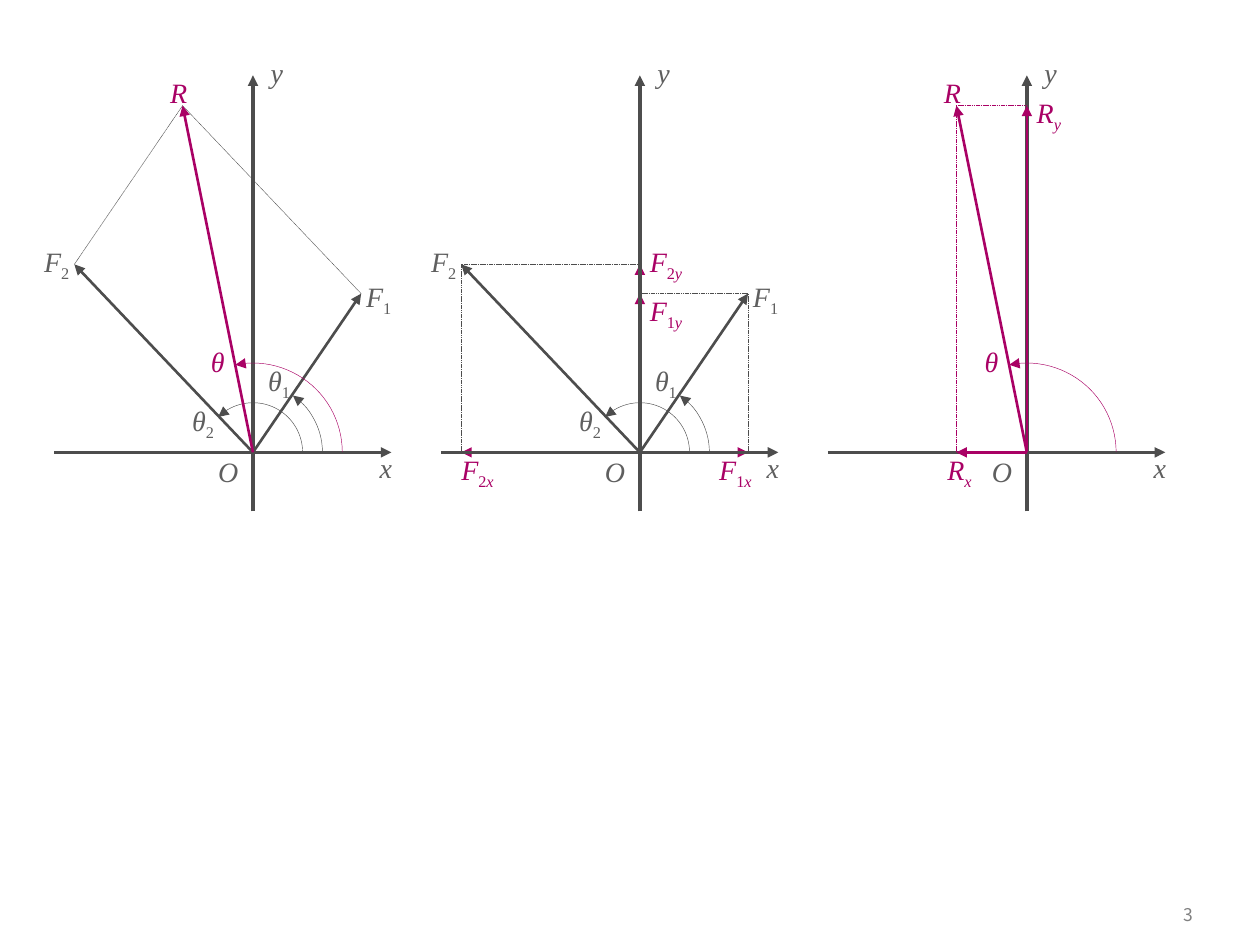
from dataclasses import dataclass

from lxml.etree import SubElement
from pptx import Presentation
from pptx.dml.color import RGBColor
from pptx.enum.dml import MSO_LINE_DASH_STYLE as Dash
from pptx.enum.shapes import MSO_CONNECTOR as Connector, MSO_SHAPE as Preset
from pptx.enum.text import MSO_ANCHOR as Anchor, MSO_AUTO_SIZE as AutoSize, PP_ALIGN as Align
from pptx.oxml.ns import qn
from pptx.util import Cm, Pt

GREY = RGBColor(0x4D, 0x4D, 0x4D)
TEXT_GREY = RGBColor(0x5F, 0x5F, 0x5F)
PAGE_GREY = RGBColor(0x80, 0x80, 0x80)
PURPLE = RGBColor(0xA9, 0x01, 0x65)

AXIS, THIN, BOLD = 0, 0.25, 1.5
ORIGIN_X, ORIGIN_Y, PANEL_STEP = 5.1, 9.12, 7.8

# Vector tips in cm from the origin, with y pointing up
O = (0, 0)
F1 = (2.18, 3.2)
F2 = (-3.6, 3.79)
R = (F1[0] + F2[0], F1[1] + F2[1])


@dataclass(frozen=True)
class Line:
    """A straight line between two points."""
    start: tuple
    end: tuple
    color: RGBColor = GREY
    width: float = BOLD
    dashed: bool = False


@dataclass(frozen=True)
class Angle:
    """An arc with an arrowhead, turning up from the x axis."""
    radius: float
    degrees: float
    color: RGBColor = GREY


@dataclass(frozen=True)
class Label:
    """A symbol with an optional subscript; left and top from the origin."""
    symbol: str
    subscript: str
    left: float
    top: float
    width: float
    color: RGBColor = TEXT_GREY
    align: Align = Align.CENTER
    height: float = 0.69
    padded: bool = False


def guide(start: tuple, end: tuple, color: RGBColor = GREY) -> Line:
    """Return a thin dashed projection line."""
    return Line(start, end, color, THIN, True)


def component(symbol: str, subscript: str, left: float, top: float, width: float = 0.79) -> Label:
    """Return the purple label of a vector component."""
    return Label(symbol, subscript, left, top, width, PURPLE, Align.LEFT)


def force(number: str, left: float, top: float) -> Label:
    """Return the grey label of a force."""
    return Label("F", number, left, top, 0.61, align=Align.LEFT)


AXES = [
    Line((0, -1.19), (0, 7.6), width=AXIS),
    Label("O", "", -1, 0.08, 1, height=0.94, padded=True),
    Line((-4.01, 0), (2.79, 0), width=AXIS),
    Label("x", "", 2.18, 0.03, 1),
    Label("y", "", -0.02, 8, 1),
]
FORCES = [
    force("1", 2.28, 3.48), Line(O, F1), Angle(1.4, 54.9),
    Line(O, F2), force("2", -4.21, 4.19),
    Label("θ", "1", 0.13, 1.8, 0.79), Angle(1, 134.5),
    Label("θ", "2", -1.4, 0.99, 0.79),
]
RESULTANT = [
    Label("θ", "", -1, 2.18, 0.58, PURPLE),
    Label("R", "", -2, 7.6, 1, PURPLE),
    Line(O, R, PURPLE), Angle(1.8, 101.4, PURPLE),
]
FORCE_COMPONENTS = [
    Line(O, (F1[0], 0), PURPLE), Line(O, (0, F1[1]), PURPLE),
    component("F", "1y", 0.2, 3.2), component("F", "1x", 1.6, 0),
    component("F", "2x", -3.6, 0),
    Line(O, (F2[0], 0), PURPLE), Line(O, (0, F2[1]), PURPLE),
    component("F", "2y", 0.2, 4.19),
]
FORCE_GUIDES = [guide(foot, tip) for tip in (F1, F2) for foot in ((tip[0], 0), (0, tip[1]))]
RESULTANT_COMPONENTS = [
    component("R", "y", 0.2, 7.19, 0.61), Line(O, (0, R[1]), PURPLE),
    Line(O, (R[0], 0), PURPLE), component("R", "x", -1.6, 0, 0.61),
    guide((R[0], 0), R, PURPLE), guide((0, R[1]), R, PURPLE),
]
PANELS = [
    AXES + FORCES + [guide(F2, R), guide(F1, R)] + RESULTANT,
    FORCE_COMPONENTS + AXES + FORCES + FORCE_GUIDES,
    AXES + RESULTANT_COMPONENTS + RESULTANT,
]


def add_arrowhead(shape) -> None:
    """Put a triangle at the end of a line."""
    SubElement(shape.line._get_or_add_ln(), qn("a:tailEnd"), type="triangle")


def draw_line(shapes, line: Line, origin_x: float) -> None:
    """Draw a vector, an axis or a dashed guide."""
    ends = [Cm(value) for x, y in (line.start, line.end)
            for value in (origin_x + x, ORIGIN_Y - y)]
    connector = shapes.add_connector(Connector.STRAIGHT, *ends)
    connector.line.color.rgb = line.color
    connector.line.width = Pt(line.width)
    if line.dashed:
        connector.line.dash_style = Dash.SQUARE_DOT
    else:
        add_arrowhead(connector)
    SubElement(connector.element.spPr, qn("a:effectLst"))


def draw_angle(shapes, angle: Angle, origin_x: float) -> None:
    """Draw an arc around the origin."""
    size = Cm(2 * angle.radius)
    arc = shapes.add_shape(Preset.ARC, Cm(origin_x - angle.radius),
                           Cm(ORIGIN_Y - angle.radius), size, size)
    # Adjustments count 100000 units of 1/60000 degree
    for index, degrees in enumerate((180.3, 180 + angle.degrees)):
        arc.adjustments[index] = degrees * 0.6
    arc.rotation = 180
    arc.element.spPr.xfrm.set("flipV", "1")
    arc.shadow.inherit = False
    arc.fill.background()
    arc.line.color.rgb = angle.color
    arc.line.width = Pt(THIN)
    add_arrowhead(arc)


def add_span(para, text: str, *, size: float, font: str, color: RGBColor,
             italic: bool = False, lowered: bool = False) -> None:
    """Add a formatted run to a paragraph."""
    span = para.add_run()
    span.text = text
    span.font.size = Pt(size)
    span.font.name = font
    span.font.color.rgb = color
    span.font.italic = italic
    if lowered:
        span.font._element.set("baseline", "-25000")


def draw_label(shapes, label: Label, origin_x: float) -> None:
    """Draw a symbol; its letters are italic and its digits upright."""
    box = shapes.add_textbox(Cm(origin_x + label.left), Cm(ORIGIN_Y - label.top),
                             Cm(label.width), Cm(label.height))
    frame = box.text_frame
    frame.word_wrap = True
    frame.auto_size = AutoSize.SHAPE_TO_FIT_TEXT
    if not label.padded:
        frame.margin_left = frame.margin_right = frame.margin_top = frame.margin_bottom = 0
    para = frame.paragraphs[0]
    para.alignment = label.align
    for index, letter in enumerate(label.symbol + label.subscript):
        add_span(para, letter, size=16, font="Times New Roman", color=label.color,
                 italic=letter.isalpha(), lowered=index > 0)


def draw_page_number(page, number: str) -> None:
    """Write the page number at the lower right."""
    box = page.shapes.add_textbox(Cm(22.5), Cm(18.01), Cm(1.8), Cm(0.84))
    box.text_frame.word_wrap = True
    box.text_frame.vertical_anchor = Anchor.MIDDLE
    para = box.text_frame.paragraphs[0]
    para.alignment = Align.RIGHT
    add_span(para, number, size=10, font="Noto Sans CJK KR", color=PAGE_GREY)


DRAWERS = {Line: draw_line, Angle: draw_angle, Label: draw_label}

deck = Presentation()
deck.slide_width, deck.slide_height = Cm(25.4), Cm(19.05)
page = deck.slides.add_slide(deck.slide_layouts[6])
draw_page_number(page, "3")
for column, parts in enumerate(PANELS):
    group = page.shapes.add_group_shape()
    for part in parts:
        DRAWERS[type(part)](group.shapes, part, ORIGIN_X + column * PANEL_STEP)
deck.save("out.pptx")
